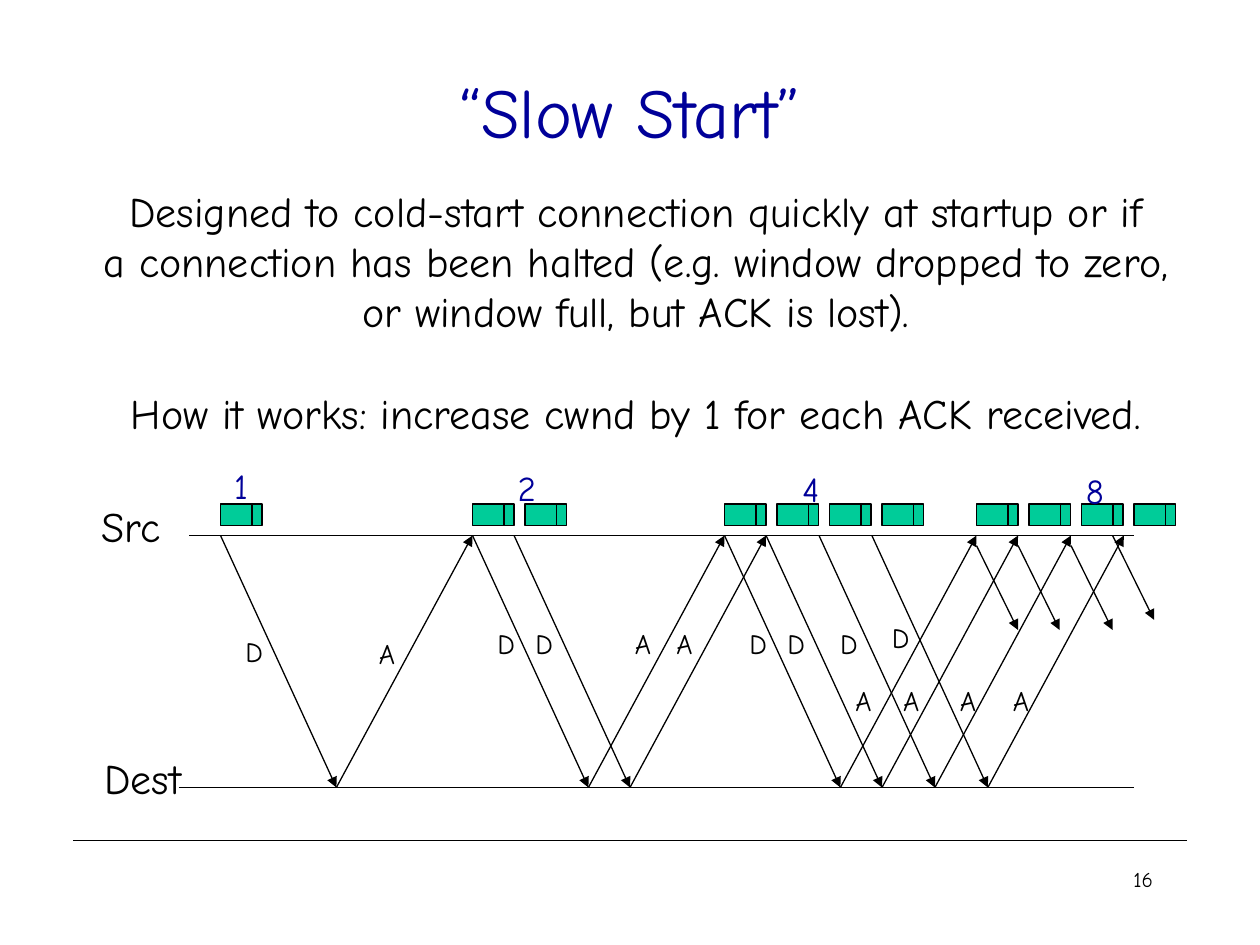
from lxml.etree import SubElement
from pptx import Presentation
from pptx.dml.color import RGBColor
from pptx.enum.shapes import MSO_CONNECTOR, MSO_SHAPE
from pptx.enum.text import MSO_ANCHOR, PP_ALIGN
from pptx.oxml.ns import qn
from pptx.util import Inches, Pt

FONT = "Comic Neue"
BLACK = RGBColor(0x00, 0x00, 0x00)
NAVY = RGBColor(0x00, 0x00, 0x99)
GREEN = RGBColor(0x00, 0xCC, 0x99)

TITLE = "“Slow Start”"
BODY = [
    "Designed to cold-start connection quickly at startup or if",
    "a connection has been halted (e.g. window dropped to zero,\vor window full, but ACK is lost).",
    "How it works: increase cwnd by 1 for each ACK received.",
]
SOURCE_Y, DESTINATION_Y = 4.25, 6.25
PACKET_TOP, PACKET_WIDTH, PACKET_HEIGHT = 4, 0.33, 0.17
PACKET_STEP = 5 / 12
HEADER_OFFSET = 0.25
DATA_TIME, ROUND_TRIP = 0.92, 2
ROUNDS = [(1.75, 1), (3.75, 2), (5.75, 4), (7.75, 4)]
SEND_TIMES = [1.75, 3.75, 4.08, 5.75, 6.08, 6.5, 6.92]
NEXT_SENDS = [(7.75, 4.33), (8.08, 4.33), (8.5, 4.33), (8.83, 4.25)]
NEXT_RUN, NEXT_DROP = 0.33, 0.67
WINDOW_SIZES = [("1", 1.76, 3.64), ("2", 4.01, 3.65), ("4", 6.27, 3.66), ("8", 8.52, 3.68)]
ENDPOINTS = [("Src", 0.71, 3.92, 0.67), ("Dest", 0.73, 5.92, 0.81)]
ARROW_LABELS = [
    ("D", 4.99, [1.85]),
    ("A", 5, [2.91]),
    ("D", 4.92, [3.85, 4.15, 5.85, 6.15, 6.57]),
    ("A", 4.92, [4.94, 5.27]),
    ("D", 4.88, [6.98]),
    ("A", 5.38, [6.69, 7.07, 7.52, 7.94]),
]


def format_paragraph(paragraph, size, color, alignment):
    paragraph.alignment = alignment
    paragraph.font.name = FONT
    paragraph.font.size = Pt(size)
    paragraph.font.color.rgb = color


def add_text(slide, lines, left, top, width, height, size, color=BLACK,
             alignment=PP_ALIGN.LEFT, wrap=False):
    box = slide.shapes.add_textbox(Inches(left), Inches(top), Inches(width), Inches(height))
    frame = box.text_frame
    frame.word_wrap = wrap
    for index, line in enumerate(lines):
        paragraph = frame.add_paragraph() if index else frame.paragraphs[0]
        paragraph.text = line
        format_paragraph(paragraph, size, color, alignment)
    return frame


def add_line(slide, x1, y1, x2, y2, arrow=False):
    line = slide.shapes.add_connector(
        MSO_CONNECTOR.STRAIGHT, Inches(x1), Inches(y1), Inches(x2), Inches(y2))
    line.line.color.rgb = BLACK
    line.line.width = Pt(0.75)
    if arrow:
        SubElement(line.line._get_or_add_ln(), qn("a:tailEnd"), type="triangle")
    SubElement(line._element.spPr, qn("a:effectLst"))


def add_packet(slide, left):
    packet = slide.shapes.add_shape(
        MSO_SHAPE.RECTANGLE, Inches(left), Inches(PACKET_TOP),
        Inches(PACKET_WIDTH), Inches(PACKET_HEIGHT))
    packet.shadow.inherit = False
    packet.fill.solid()
    packet.fill.fore_color.rgb = GREEN
    packet.line.color.rgb = BLACK
    packet.line.width = Pt(0.75)
    header = left + HEADER_OFFSET
    add_line(slide, header, PACKET_TOP, header, PACKET_TOP + PACKET_HEIGHT)


def main():
    presentation = Presentation()
    presentation.slide_width = Inches(10)
    presentation.slide_height = Inches(7.5)
    slide = presentation.slides.add_slide(presentation.slide_layouts[5])

    title = slide.shapes.title
    title.left, title.top = Inches(0.75), Inches(0.25)
    title.width, title.height = Inches(8.5), Inches(1.25)
    title.text_frame.text = TITLE
    title.text_frame.vertical_anchor = MSO_ANCHOR.MIDDLE
    format_paragraph(title.text_frame.paragraphs[0], 40, NAVY, PP_ALIGN.CENTER)

    body = add_text(slide, BODY, 0.7, 1.42, 8.69, 2.1, 24, alignment=PP_ALIGN.CENTER)
    body.paragraphs[-1].space_before = Pt(29)

    add_line(slide, 0.58, 6.67, 9.42, 6.67)
    add_line(slide, 1.5, SOURCE_Y, 9, SOURCE_Y)
    add_line(slide, 1.42, DESTINATION_Y, 9, DESTINATION_Y)

    for sent in SEND_TIMES:
        arrival = sent + DATA_TIME
        add_line(slide, sent, SOURCE_Y, arrival, DESTINATION_Y, arrow=True)
        add_line(slide, arrival, DESTINATION_Y, sent + ROUND_TRIP, SOURCE_Y, arrow=True)
    for x, y in NEXT_SENDS:
        add_line(slide, x, y, x + NEXT_RUN, y + NEXT_DROP, arrow=True)

    for start, count in ROUNDS:
        for index in range(count):
            add_packet(slide, start + index * PACKET_STEP)

    for label, top, lefts in ARROW_LABELS:
        for left in lefts:
            add_text(slide, [label], left, top, 0.34, 0.37, 16)
    for name, left, top, width in ENDPOINTS:
        add_text(slide, [name], left, top, width, 0.5, 24)
    for size, left, top in WINDOW_SIZES:
        add_text(slide, [size], left, top, 0.33, 0.44, 20, NAVY)
    add_text(slide, ["16"], 7.17, 6.83, 2.08, 0.5, 12, alignment=PP_ALIGN.RIGHT, wrap=True)

    presentation.save("out.pptx")


if __name__ == "__main__":
    main()
